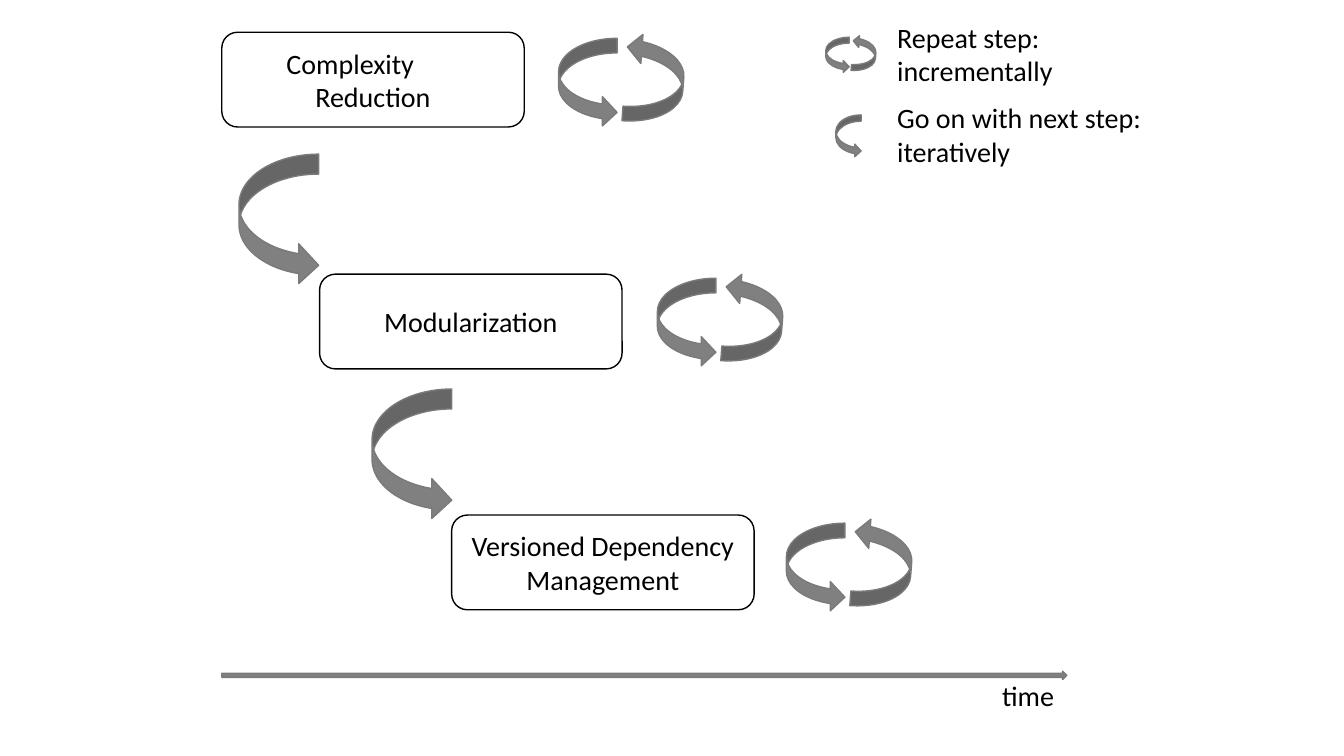
"""Draws three staggered process steps with repeat loops, a legend and a time axis."""
from dataclasses import dataclass

from pptx import Presentation, util as u
from pptx.dml.color import RGBColor
from pptx.enum import shapes, text

BLACK = RGBColor(0x00, 0x00, 0x00)
WHITE = RGBColor(0xFF, 0xFF, 0xFF)
GRAY = RGBColor(0x80, 0x80, 0x80)
EDGE_GRAY = RGBColor(0x7A, 0x7A, 0x7A)

CELL = u.Inches(0.1)
STEP_SIZE = (30, 9.4)
NEXT_SIZE = (7.9, 13)
LOOP_SIZE = (5.8, 8.8)
LOOP_SHIFT = (6.6, -0.4)
LOOP_TURN = 184.2
KINDS = shapes.MSO_SHAPE
FONT = {"name": "Calibri", "size": u.Pt(20)}


@dataclass(frozen=True)
class Step:
    """A process step, placed in grid columns and rows."""
    label: str
    col: float
    row: float
    loop_col: float
    loop_row: float
    hang: float = 0


@dataclass(frozen=True)
class Turn:
    """An arrow that leads on to the next step."""
    col: float
    row: float
    size: tuple[float, float] = NEXT_SIZE


@dataclass(frozen=True)
class Caption:
    """Free text with one paragraph per line."""
    lines: tuple[str, ...]
    col: float
    row: float
    cols: float
    rows: float


STEPS = (
    Step("Complexity Reduction", 22, 3.2, 55.4, 3.8, hang=4.5),
    Step("Modularization", 31.7, 27.2, 65.2, 27.6),
    Step("Versioned Dependency Management", 44.8, 51.1, 78, 51.9),
)
TURNS = (Turn(23.7, 15.3), Turn(36.9, 38.6), Turn(82.9, 11.4, (2.5, 4.2)))
CAPTIONS = (
    Caption(("time",), 98.4, 66.8, 7.3, 4.4),
    Caption(("Repeat step:", "incrementally"), 88, 1.5, 17.8, 7.7),
    Caption(("Go on with next step:", "iteratively"), 88, 9.5, 27.4, 7.7),
)


def grid(*cells: float) -> list[int]:
    """Turn grid counts into lengths."""
    return [int(CELL * count) for count in cells]


def apply(target, values: dict) -> None:
    """Set each format value on the target."""
    for name, value in values.items():
        setattr(target, name, value)


def write(paragraph, words: str) -> None:
    """Write words in the slide's type style."""
    run = paragraph.add_run()
    run.text = words
    apply(run.font, FONT)
    run.font.color.rgb = BLACK


def add_block(slide, kind, col: float, row: float, size: tuple[float, float],
              fill: RGBColor = GRAY, edge: RGBColor = EDGE_GRAY):
    """Add a filled and outlined preset shape."""
    block = slide.shapes.add_shape(kind, *grid(col, row, *size))
    block.shadow.inherit = False
    block.fill.solid()
    block.fill.fore_color.rgb = fill
    block.line.color.rgb = edge
    block.line.width = u.Pt(1)
    return block


def add_loop(slide, col: float, row: float, scale: float = 1) -> None:
    """Add two facing arrows that form a repeat loop."""
    size = (LOOP_SIZE[0] * scale, LOOP_SIZE[1] * scale)
    add_block(slide, KINDS.CURVED_RIGHT_ARROW, col, row, size)
    back = add_block(slide, KINDS.CURVED_RIGHT_ARROW, col + LOOP_SHIFT[0] * scale,
                     row + LOOP_SHIFT[1] * scale, size)
    back.rotation = LOOP_TURN


def add_step(slide, step: Step) -> None:
    """Add a step box with its repeat loop."""
    box = add_block(slide, KINDS.ROUNDED_RECTANGLE, step.col, step.row,
                    STEP_SIZE, WHITE, BLACK)
    frame = box.text_frame
    hang, right = grid(step.hang, 1 + step.hang)
    apply(frame, {"word_wrap": True, "vertical_anchor": text.MSO_ANCHOR.MIDDLE,
                  "margin_right": right})
    label = frame.paragraphs[0]
    label.alignment = text.PP_ALIGN.CENTER
    if hang:
        properties = label._p.get_or_add_pPr()
        properties.set("marL", str(hang))
        properties.set("indent", str(-hang))
    write(label, step.label)
    add_loop(slide, step.loop_col, step.loop_row)


def add_caption(slide, caption: Caption) -> None:
    """Add unwrapped free text."""
    box = slide.shapes.add_textbox(
        *grid(caption.col, caption.row, caption.cols, caption.rows))
    frame = box.text_frame
    apply(frame, {"word_wrap": False,
                  "auto_size": text.MSO_AUTO_SIZE.SHAPE_TO_FIT_TEXT})
    for index, line in enumerate(caption.lines):
        write(frame.add_paragraph() if index else frame.paragraphs[0], line)


def main() -> None:
    """Build and save the slide."""
    deck = Presentation()
    apply(deck, {"slide_width": u.Inches(13.33), "slide_height": u.Inches(7.5)})
    slide = deck.slides.add_slide(deck.slide_layouts[6])
    for step in STEPS:
        add_step(slide, step)
    for turn in TURNS:
        add_block(slide, KINDS.CURVED_RIGHT_ARROW, turn.col, turn.row, turn.size)
    add_loop(slide, 81.9, 3.7, scale=0.4)
    add_block(slide, KINDS.RIGHT_ARROW, 22, 66.6, (83.8, 0.8))
    for caption in CAPTIONS:
        add_caption(slide, caption)
    deck.save("out.pptx")


if __name__ == "__main__":
    main()
